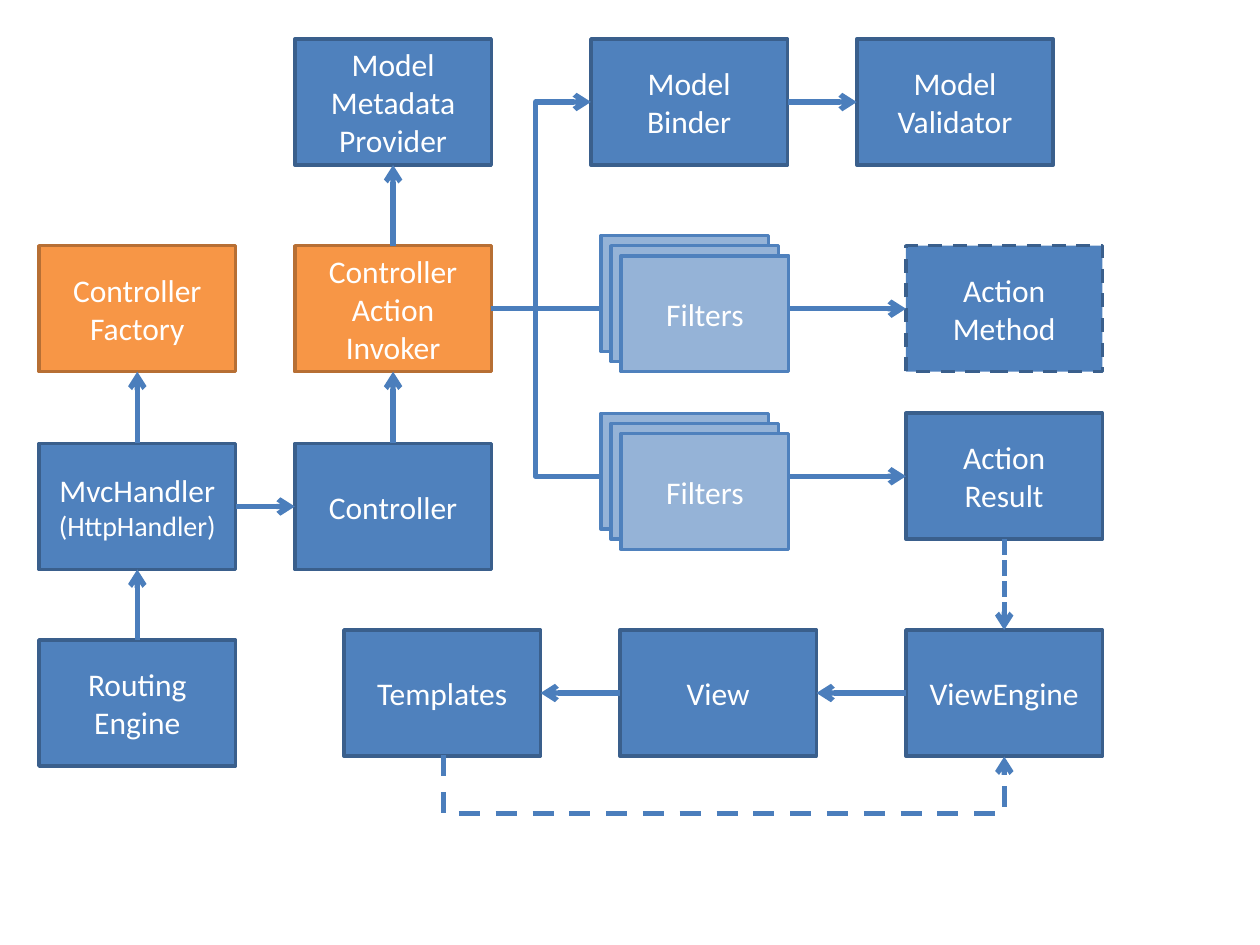
import dataclasses

import pptx
import pptx.dml.color
import pptx.enum.dml
import pptx.enum.shapes
import pptx.enum.text
import pptx.oxml.ns
import pptx.util
from lxml import etree

Inches = pptx.util.Inches
Pt = pptx.util.Pt
Dash = pptx.enum.dml.MSO_LINE
Kind = pptx.enum.shapes.MSO_CONNECTOR
rgb = pptx.dml.color.RGBColor.from_string
qn = pptx.oxml.ns.qn


@dataclasses.dataclass
class Theme:
    font: str = "Calibri"
    text: str = "FFFFFF"
    size: int = 18
    small: int = 16
    blue: tuple = ("4F81BD", "3A5F8C")
    orange: tuple = ("F79646", "B76F34")
    pale: tuple = ("95B3D7", "4F81BD")
    link: str = "4B7EBC"
    edge: int = 2
    stroke: int = 3


theme = Theme()
TOP, LEFT, BOTTOM, RIGHT = range(4)


def add_box(shapes, label, x, y, wide, high, pair):
    """Add a rectangle; each line of the label is a paragraph."""
    box = shapes.add_shape(pptx.enum.shapes.MSO_SHAPE.RECTANGLE,
                           Inches(x), Inches(y), Inches(wide), Inches(high))
    box.shadow.inherit = False
    box.fill.solid()
    box.fill.fore_color.rgb = rgb(pair[0])
    box.line.color.rgb = rgb(pair[1])
    box.line.width = Pt(theme.edge)
    frame = box.text_frame
    frame.word_wrap = True
    frame.vertical_anchor = pptx.enum.text.MSO_ANCHOR.MIDDLE
    frame.text = label
    for para in frame.paragraphs:
        para.alignment = pptx.enum.text.PP_ALIGN.CENTER
        for run in para.runs:
            style = {"name": theme.font,
                     "size": Pt(theme.small if run.text[0] == "(" else theme.size)}
            for key, value in style.items():
                setattr(run.font, key, value)
            run.font.color.rgb = rgb(theme.text)
    return box


def add_link(kind, start, end, dash=None):
    """Add an arrow between two (x, y) points."""
    link = slide.shapes.add_connector(kind, *map(Inches, start + end))
    link.line.color.rgb = rgb(theme.link)
    link.line.width = Pt(theme.stroke)
    if dash:
        link.line.dash_style = dash
    props = link.element.spPr
    etree.SubElement(props.find(qn("a:ln")), qn("a:tailEnd"), type="arrow")
    etree.SubElement(props, qn("a:effectLst"))
    return link


def set_bend(link, ratio):
    """Place the middle part of an elbow at a share of its width."""
    guides = link.element.spPr.find(qn("a:prstGeom")).get_or_add_avLst()
    etree.SubElement(guides, qn("a:gd"), name="adj1",
                     fmla=f"val {round(ratio * 100000)}")


deck = pptx.Presentation()
deck.slide_width, deck.slide_height = Inches(10), Inches(7.5)
slide = deck.slides.add_slide(deck.slide_layouts[6])

# Boxes
WIDE, HIGH = 1.56, 1
spots = {
    "Routing Engine": (0.31, 5.08),
    "MvcHandler\n(HttpHandler)": (0.31, 3.52),
    "Controller Factory": (0.31, 1.95),
    "Controller": (2.34, 3.52),
    "Controller Action Invoker": (2.34, 1.95),
    "Model Metadata Provider": (2.34, 0.31),
    "Model Binder": (4.69, 0.31),
    "Model Validator": (6.8, 0.31),
    "Action Method": (7.19, 1.95),
    "Action\nResult": (7.19, 3.28),
    "ViewEngine": (7.19, 5),
    "View": (4.92, 5),
    "Templates": (2.73, 5),
}
accents = {"Controller Factory", "Controller Action Invoker"}
boxes = {}
for label, (x, y) in spots.items():
    pair = theme.orange if label in accents else theme.blue
    boxes[label] = add_box(slide.shapes, label, x, y, WIDE, HIGH, pair)
boxes["Action Method"].line.dash_style = Dash.DASH

# Straight arrows
for first, out, last, into, dash in [
    ("Routing Engine", TOP, "MvcHandler\n(HttpHandler)", BOTTOM, None),
    ("MvcHandler\n(HttpHandler)", TOP, "Controller Factory", BOTTOM, None),
    ("MvcHandler\n(HttpHandler)", RIGHT, "Controller", LEFT, None),
    ("Controller", TOP, "Controller Action Invoker", BOTTOM, None),
    ("Controller Action Invoker", TOP, "Model Metadata Provider", BOTTOM, None),
    ("Model Binder", RIGHT, "Model Validator", LEFT, None),
    ("Controller Action Invoker", RIGHT, "Action Method", LEFT, None),
    ("Action\nResult", BOTTOM, "ViewEngine", TOP, Dash.SQUARE_DOT),
    ("ViewEngine", LEFT, "View", RIGHT, None),
    ("View", LEFT, "Templates", RIGHT, None),
]:
    link = add_link(Kind.STRAIGHT, (0, 0), (1, 1), dash)
    link.begin_connect(boxes[first], out)
    link.end_connect(boxes[last], into)

# Elbows that leave the invoker and turn on one shared line
fork, turn = (3.9, 2.45), 4.25
for goal in [(4.69, 0.81), (7.19, 3.78)]:
    link = add_link(Kind.ELBOW, fork, goal)
    set_bend(link, (turn - fork[0]) / (goal[0] - fork[0]))

# Dashed loop below the view row: a turned elbow, 0.01 wide before turning
start, end, base, drop, thin = 3.52, 7.97, 6, 0.47, 0.01
span = end - start
loop = add_link(Kind.ELBOW, (start, base), (end, base), Dash.DASH)
loop.begin_connect(boxes["Templates"], BOTTOM)
loop.end_connect(boxes["ViewEngine"], BOTTOM)
place = {"left": (start + end - thin) / 2, "top": base - span / 2,
         "width": thin, "height": span}
for key, value in place.items():
    setattr(loop, key, Inches(value))
frame = loop.element.spPr.find(qn("a:xfrm"))
for key, value in {"rot": "16200000", "flipH": "1"}.items():
    frame.set(key, value)
set_bend(loop, drop / thin)

# Stacked filter cards
for top in (1.87, 3.28):
    stack = slide.shapes.add_group_shape()
    for step, label in enumerate(["", "", "Filters"]):
        shift = step * 0.08
        add_box(stack.shapes, label, 4.77 + shift, top + shift, 1.33, 0.92, theme.pale)

deck.save("out.pptx")
